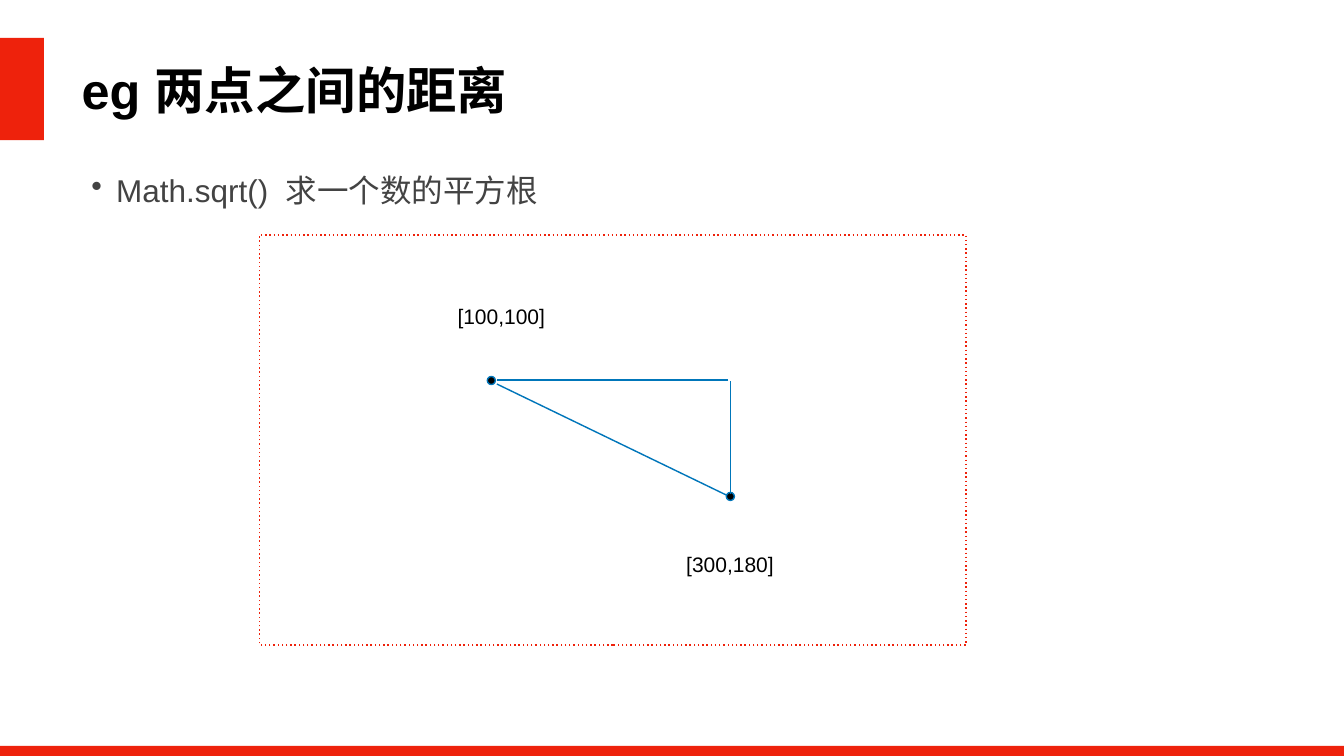
from lxml import etree
from pptx import Presentation
from pptx.dml.color import RGBColor
from pptx.enum.shapes import MSO_CONNECTOR, MSO_SHAPE
from pptx.enum.text import MSO_ANCHOR, MSO_AUTO_SIZE, PP_ALIGN
from pptx.oxml.ns import qn
from pptx.util import Pt

RED = RGBColor(0xEE, 0x22, 0x0C)
BLUE = RGBColor(0x00, 0x76, 0xBA)
BLACK = RGBColor(0x00, 0x00, 0x00)
GREY = RGBColor(0x43, 0x43, 0x43)
WHITE = RGBColor(0xFF, 0xFF, 0xFF)


class SlideBuilder:
    font = "Arial"
    inset = Pt(4)
    line_width = Pt(2)

    def __init__(self, slide):
        self.slide = slide
        self.shapes = slide.shapes

    def _write(self, frame, text, size, color, align, bold=False, wrap=True):
        frame.margin_left = frame.margin_right = self.inset
        frame.margin_top = frame.margin_bottom = self.inset
        frame.auto_size = MSO_AUTO_SIZE.NONE
        frame.word_wrap = wrap
        frame.vertical_anchor = MSO_ANCHOR.MIDDLE
        paragraph = frame.paragraphs[0]
        paragraph.text = text
        paragraph.alignment = align
        font = paragraph.font
        font.name, font.size, font.bold = self.font, Pt(size), bold
        font.color.rgb = color

    def title(self, text, left, top, width, height):
        heading = self.shapes.title
        heading.left, heading.top = Pt(left), Pt(top)
        heading.width, heading.height = Pt(width), Pt(height)
        self._write(heading.text_frame, text, 72, BLACK, PP_ALIGN.LEFT, bold=True)

    def bullet(self, text, left, top, width, height, indent):
        box = self.shapes.add_textbox(Pt(left), Pt(top), Pt(width), Pt(height))
        paragraph = box.text_frame.paragraphs[0]
        paragraph.line_spacing = 1.5
        props = paragraph._p.get_or_add_pPr()
        props.set("marL", str(Pt(indent)))
        props.set("indent", str(-Pt(indent)))
        etree.SubElement(props, qn("a:buChar"), char="•")
        self._write(box.text_frame, text, 45, GREY, PP_ALIGN.LEFT)

    def label(self, text, center_x, center_y, width=135.4, height=44):
        box = self.shapes.add_textbox(Pt(center_x - width / 2), Pt(center_y - height / 2),
                                      Pt(width), Pt(height))
        self._write(box.text_frame, text, 30, BLACK, PP_ALIGN.CENTER, wrap=False)

    def shape(self, kind, left, top, width, height, fill, line=None):
        item = self.shapes.add_shape(kind, Pt(left), Pt(top), Pt(width), Pt(height))
        item.shadow.inherit = False
        item.fill.solid()
        item.fill.fore_color.rgb = fill
        if line is None:
            item.line.fill.background()
        else:
            item.line.color.rgb = line
            item.line.width = self.line_width
        return item

    def dotted_frame(self, left, top, width, height):
        frame = self.shape(MSO_SHAPE.RECTANGLE, left, top, width, height, WHITE, RED)
        outline = frame._element.spPr.find(qn("a:ln"))
        dashes = etree.SubElement(outline, qn("a:custDash"))
        etree.SubElement(dashes, qn("a:ds"), d="100000", sp="200000")

    def dot(self, center_x, center_y, size=11.5):
        self.shape(MSO_SHAPE.OVAL, center_x - size / 2, center_y - size / 2,
                   size, size, BLACK, BLUE)

    def line(self, start, end):
        side = self.shapes.add_connector(MSO_CONNECTOR.STRAIGHT,
                                         *(Pt(value) for value in (*start, *end)))
        side.line.color.rgb = BLUE
        side.line.width = self.line_width
        etree.SubElement(side._element.spPr, qn("a:effectLst"))


def main():
    deck = Presentation()
    deck.slide_width, deck.slide_height = Pt(1920.24), Pt(1080)
    page = SlideBuilder(deck.slides.add_slide(deck.slide_layouts[5]))

    page.title("eg 两点之间的距离", 112.7, 73.4, 1588.3, 108)
    page.shape(MSO_SHAPE.RECTANGLE, -3.6, 54, 66.2, 146.2, RED)
    page.shape(MSO_SHAPE.RECTANGLE, 0, 1065.6, 1920.24, 36, RED)
    page.dotted_frame(370.8, 335.5, 1009.4, 586.1)

    first_point, second_point = (702, 543.6), (1043.5, 709.2)
    page.line((1040.4, 708.5), (709.9, 548.6))
    page.dot(*first_point)
    page.dot(*second_point)
    page.label("[100,100]", 716.2, 451.8)
    page.label("[300,180]", 1043, 805.3)
    page.line((1040.4, 542.9), (709.9, 542.9))
    page.line((1043.3, 706.3), (1043.3, 544.3))

    page.bullet("Math.sqrt()  求一个数的平方根", 126.7, 221.8, 1705.7, 71.3, indent=35.3)
    deck.save("out.pptx")


if __name__ == "__main__":
    main()
